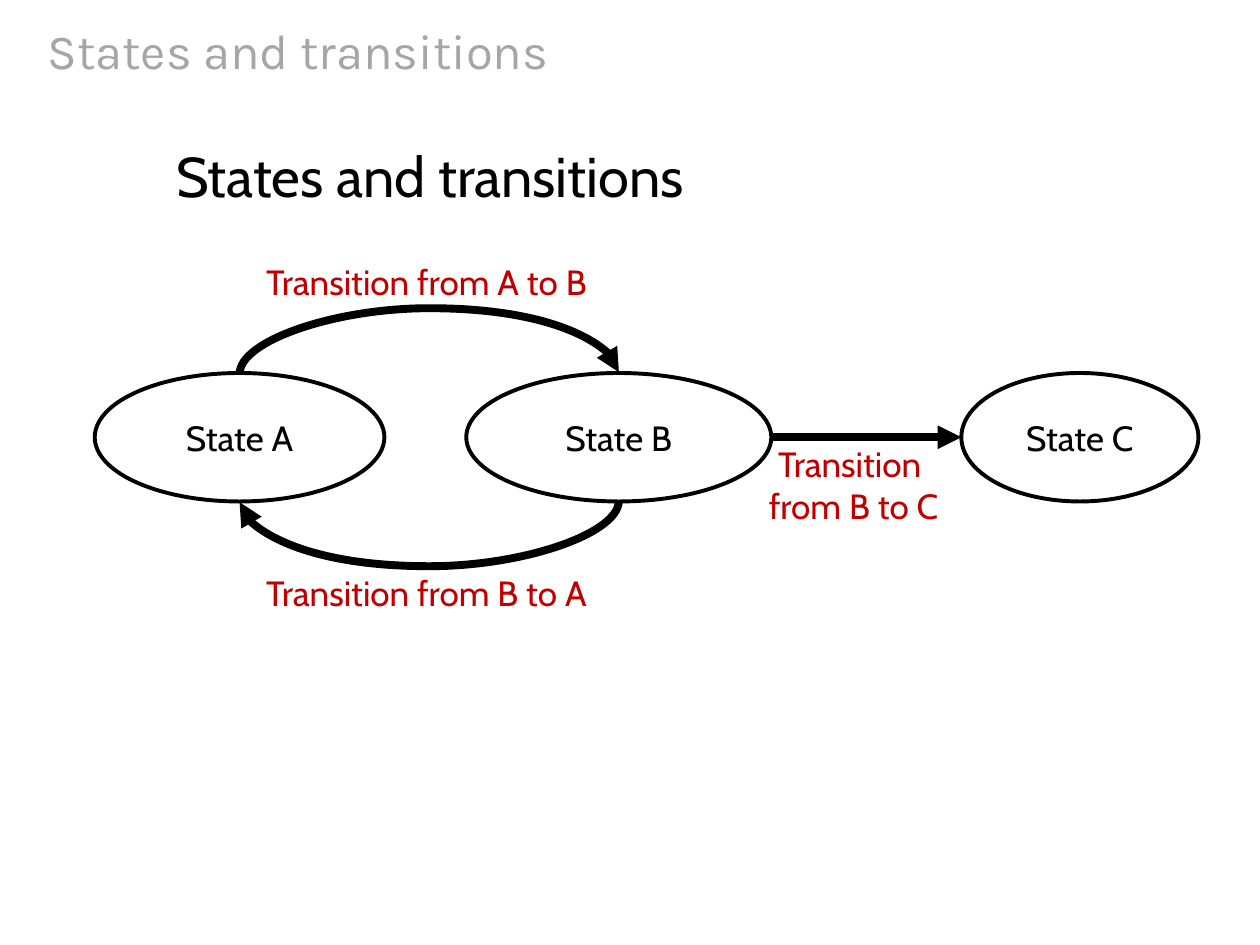
from dataclasses import dataclass
from enum import IntEnum

from lxml.etree import SubElement
from pptx import Presentation
from pptx.dml.color import RGBColor
from pptx.enum.shapes import MSO_CONNECTOR, MSO_SHAPE
from pptx.enum.text import MSO_ANCHOR, PP_ALIGN
from pptx.oxml.ns import qn
from pptx.util import Cm, Pt


@dataclass(frozen=True)
class Theme:
    black: RGBColor = RGBColor(0x00, 0x00, 0x00)
    white: RGBColor = RGBColor(0xFF, 0xFF, 0xFF)
    grey: RGBColor = RGBColor(0xA6, 0xA6, 0xA6)
    red: RGBColor = RGBColor(0xC0, 0x00, 0x00)
    title_font: str = "Karla"
    body_font: str = "Cabin"
    title_size: Pt = Pt(28)
    heading_size: Pt = Pt(32)
    label_size: Pt = Pt(20)
    outline: Pt = Pt(2.25)
    arrow: Pt = Pt(4.5)


class Site(IntEnum):
    """Connection sites of an ellipse."""
    TOP = 0
    LEFT = 2
    BOTTOM = 4
    RIGHT = 6


@dataclass(frozen=True)
class State:
    name: str
    left: float
    width: float

    @property
    def middle(self) -> float:
        return self.left + self.width / 2


@dataclass(frozen=True)
class Label:
    lines: tuple[str, ...]
    left: float
    top: float
    height: float


@dataclass(frozen=True)
class Transition:
    start: str
    start_site: Site
    end: str
    end_site: Site


THEME = Theme()
STATE_TOP, STATE_HEIGHT = 7.52, 2.59
LABEL_WIDTH = 7.8
LOOP_RISE, LOOP_THICKNESS = 1.32, 0.03

STATES = (
    State("State A", 1.91, 5.84),
    State("State B", 9.4, 6.15),
    State("State C", 19.38, 4.78),
)
LABELS = (
    Label(("Transition from A to B",), 4.7, 5.26, 1.07),
    Label(("Transition from B to A",), 4.7, 11.53, 1.07),
    Label(("Transition ", "from B to C"), 13.31, 8.92, 2.01),
)
TRANSITIONS = (
    Transition("State A", Site.TOP, "State B", Site.TOP),
    Transition("State B", Site.BOTTOM, "State A", Site.BOTTOM),
    Transition("State B", Site.RIGHT, "State C", Site.LEFT),
)


def add_run(paragraph, text: str, size: Pt, color: RGBColor,
            font: str = THEME.body_font) -> None:
    run = paragraph.add_run()
    run.text = text
    run.font.name = font
    run.font.size = size
    run.font.color.rgb = color


def add_text_frame(slide, left: float, top: float, width: float, height: float):
    frame = slide.shapes.add_textbox(
        Cm(left), Cm(top), Cm(width), Cm(height)).text_frame
    frame.word_wrap = True
    return frame


def add_state(slide, state: State):
    shape = slide.shapes.add_shape(
        MSO_SHAPE.OVAL, Cm(state.left), Cm(STATE_TOP),
        Cm(state.width), Cm(STATE_HEIGHT))
    shape.shadow.inherit = False
    shape.fill.solid()
    shape.fill.fore_color.rgb = THEME.white
    shape.line.color.rgb = THEME.black
    shape.line.width = THEME.outline
    shape.text_frame.vertical_anchor = MSO_ANCHOR.MIDDLE
    paragraph = shape.text_frame.paragraphs[0]
    paragraph.alignment = PP_ALIGN.CENTER
    add_run(paragraph, state.name, THEME.label_size, THEME.black)
    return shape


def add_label(slide, label: Label) -> None:
    frame = add_text_frame(slide, label.left, label.top, LABEL_WIDTH, label.height)
    frame.margin_left = frame.margin_right = 0
    frame.margin_top = frame.margin_bottom = 0
    paragraph = frame.paragraphs[0]
    paragraph.alignment = PP_ALIGN.CENTER
    for index, line in enumerate(label.lines):
        if index:
            paragraph.add_line_break()
        add_run(paragraph, line, THEME.label_size, THEME.red)


def site_position(state: State, site: Site) -> tuple[float, float]:
    middle_y = STATE_TOP + STATE_HEIGHT / 2
    return {
        Site.TOP: (state.middle, STATE_TOP),
        Site.LEFT: (state.left, middle_y),
        Site.BOTTOM: (state.middle, STATE_TOP + STATE_HEIGHT),
        Site.RIGHT: (state.left + state.width, middle_y),
    }[site]


def bend_into_loop(connector, start: tuple[float, float],
                   end: tuple[float, float], above: bool) -> None:
    """Turn the connector by 90 degrees so that it arcs over or under the states."""
    span = abs(end[0] - start[0])
    connector.left = Cm((start[0] + end[0] - LOOP_THICKNESS) / 2)
    connector.top = Cm(start[1] - span / 2)
    connector.width, connector.height = Cm(LOOP_THICKNESS), Cm(span)
    properties = connector.element.spPr
    frame = properties.find(qn("a:xfrm"))
    frame.set("rot", "5400000")
    for flip in ("flipH", "flipV"):
        frame.set(flip, str(int(above)))
    adjustments = properties.find(qn("a:prstGeom")).find(qn("a:avLst"))
    ratio = round(LOOP_RISE / LOOP_THICKNESS * 100000)
    SubElement(adjustments, qn("a:gd"), name="adj1", fmla=f"val {ratio}")


def add_transition(slide, transition: Transition, states: dict, shapes: dict) -> None:
    start = site_position(states[transition.start], transition.start_site)
    end = site_position(states[transition.end], transition.end_site)
    connector = slide.shapes.add_connector(
        MSO_CONNECTOR.CURVE, Cm(start[0]), Cm(start[1]), Cm(end[0]), Cm(end[1]))
    connector.line.color.rgb = THEME.black
    connector.line.width = THEME.arrow
    SubElement(connector.line._get_or_add_ln(), qn("a:tailEnd"), type="triangle")
    SubElement(connector.element.spPr, qn("a:effectLst"))
    links = connector.element.find(qn("p:nvCxnSpPr")).find(qn("p:cNvCxnSpPr"))
    for tag, name, site in (
            ("a:stCxn", transition.start, transition.start_site),
            ("a:endCxn", transition.end, transition.end_site)):
        SubElement(links, qn(tag), id=str(shapes[name].shape_id), idx=str(int(site)))
    if transition.start_site == transition.end_site:
        bend_into_loop(connector, start, end, transition.start_site == Site.TOP)


def main() -> None:
    presentation = Presentation()
    presentation.slide_width, presentation.slide_height = Cm(25.4), Cm(19.05)
    slide = presentation.slides.add_slide(presentation.slide_layouts[6])

    title = add_text_frame(slide, 0.71, 0.33, 24, 1.37)
    title.vertical_anchor = MSO_ANCHOR.MIDDLE
    add_run(title.paragraphs[0], "States and transitions",
            THEME.title_size, THEME.grey, THEME.title_font)
    heading = add_text_frame(slide, 3.3, 2.72, 14.81, 1.63)
    add_run(heading.paragraphs[0], "States and transitions",
            THEME.heading_size, THEME.black)

    states = {state.name: state for state in STATES}
    shapes = {state.name: add_state(slide, state) for state in STATES}
    for transition in TRANSITIONS:
        add_transition(slide, transition, states, shapes)
    for label in LABELS:
        add_label(slide, label)
    presentation.save("out.pptx")


if __name__ == "__main__":
    main()
